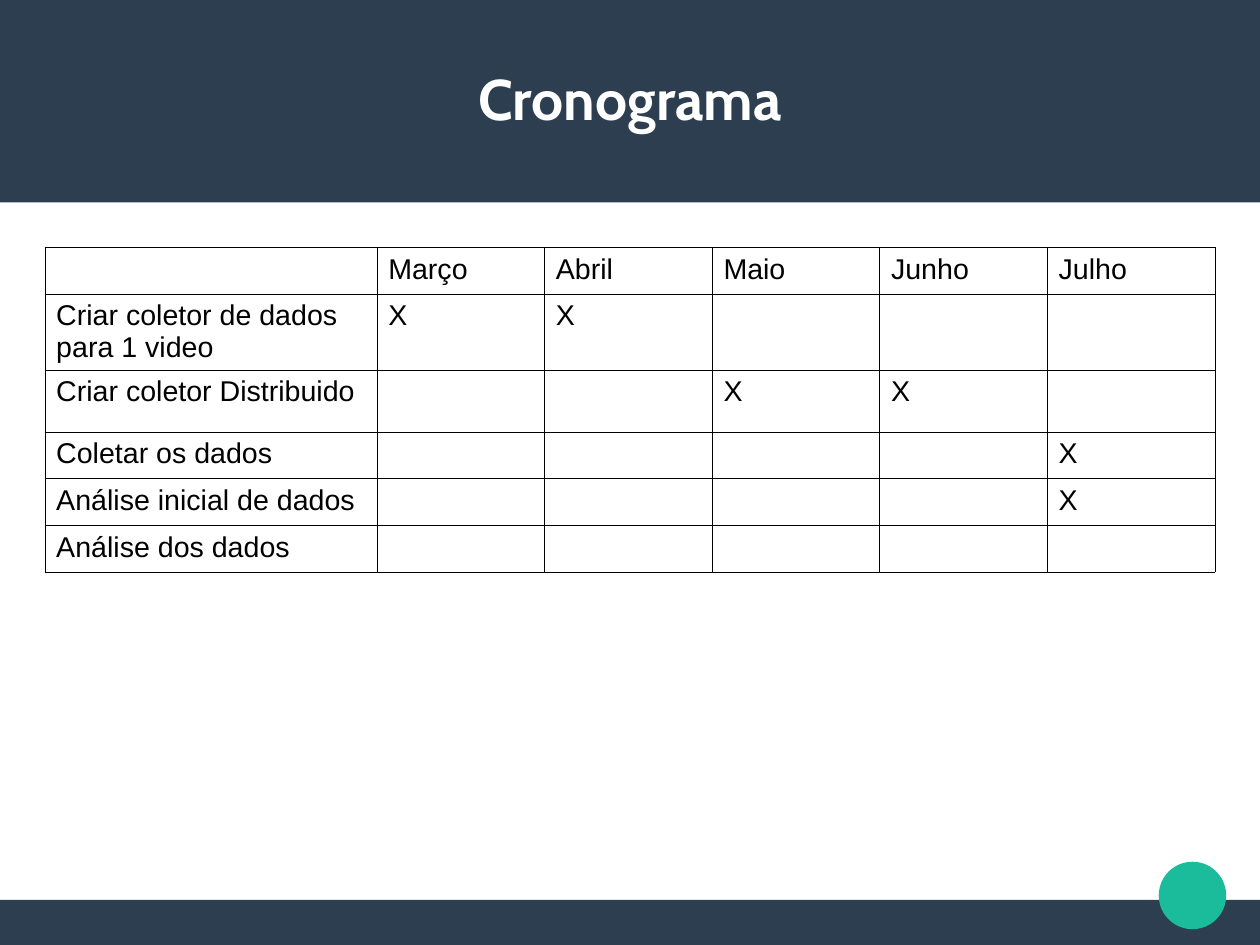
from dataclasses import dataclass

from lxml import etree
from pptx import Presentation
from pptx.dml.color import RGBColor
from pptx.enum.shapes import MSO_SHAPE
from pptx.enum.text import MSO_ANCHOR, MSO_AUTO_SIZE, PP_ALIGN
from pptx.oxml.ns import qn
from pptx.util import Cm, Pt

RECT, OVAL = MSO_SHAPE.RECTANGLE, MSO_SHAPE.OVAL
MIDDLE, TOP = MSO_ANCHOR.MIDDLE, MSO_ANCHOR.TOP
CENTER, LEFT = PP_ALIGN.CENTER, PP_ALIGN.LEFT
NO_FIT = MSO_AUTO_SIZE.NONE
TITLE_ONLY = 5


@dataclass(frozen=True)
class Theme:
    """Colours, fonts and type sizes of the slide."""
    navy: str = "2C3E50"
    green: str = "1ABC9C"
    white: str = "FFFFFF"
    black: str = "000000"
    head: str = "Cabin"
    body: str = "Arial"
    big: float = 36
    text: float = 18
    rule: float = 0.57


THEME = Theme()
WIDTH, HEIGHT, MARGIN = 28, 21, 1
MONTHS = ["Março", "Abril", "Maio", "Junho", "Julho"]
TASKS = [
    ("Criar coletor de dados para 1 video", ["Março", "Abril"], 1.69),
    ("Criar coletor Distribuido", ["Maio", "Junho"], 1.38),
    ("Coletar os dados", ["Julho"], 0.98),
    ("Análise inicial de dados", ["Julho"], 0.98),
    ("Análise dos dados", [], 0.98),
]
HEAD_ROW, TASK_COL = 0.98, 7.38


def style(item, **values):
    """Set each given value on the item."""
    for name, value in values.items():
        setattr(item, name, value)


def write(frame, text, align, color, **font):
    """Write one formatted paragraph into a text frame."""
    para = frame.paragraphs[0]
    para.alignment = align
    run = para.add_run()
    run.text = text
    style(run.font, **font)
    run.font.color.rgb = RGBColor.from_string(color)


def add_form(slide, kind, box, color):
    """Add a plain filled shape in the box."""
    form = slide.shapes.add_shape(kind, *map(Cm, box))
    form.shadow.inherit = False
    form.fill.solid()
    form.fill.fore_color.rgb = RGBColor.from_string(color)
    form.line.fill.background()


def add_header(slide, box):
    """Draw the top band and set the title on it."""
    left, top, width, _ = box
    add_form(slide, RECT, box, THEME.navy)
    title = slide.shapes.title
    style(title, left=Cm(left + MARGIN), top=Cm(top + 0.84),
          width=Cm(width - 2 * MARGIN), height=Cm(2.67))
    frame = title.text_frame
    style(frame, margin_left=0, margin_right=0, margin_top=0, margin_bottom=0,
          vertical_anchor=MIDDLE, auto_size=NO_FIT, word_wrap=True)
    write(frame, "Cronograma", CENTER, THEME.white,
          name=THEME.head, size=Pt(THEME.big), bold=True)
    title.element.getparent().append(title.element)


def add_footer(slide, box):
    """Draw the bottom band and the disc that overlaps it."""
    left, top, width, _ = box
    size = 1.5
    add_form(slide, RECT, box, THEME.navy)
    add_form(slide, OVAL, (left + width - size - 0.75, top - 0.85, size, size),
             THEME.green)


def add_rules(cell):
    """Draw a thin line on all four sides of a cell."""
    props = cell._tc.get_or_add_tcPr()
    for side in ("lnL", "lnR", "lnT", "lnB"):
        line = etree.SubElement(props, qn("a:" + side), w=str(Pt(THEME.rule)))
        fill = etree.SubElement(line, qn("a:solidFill"))
        etree.SubElement(fill, qn("a:srgbClr"), val=THEME.black)


def fill_cell(cell, text):
    """Format a cell and write its text, if any."""
    add_rules(cell)
    cell.fill.background()
    style(cell, margin_left=Cm(0.25), margin_right=Cm(0.25),
          margin_top=Cm(0.13), margin_bottom=Cm(0.13), vertical_anchor=TOP)
    if text:
        write(cell.text_frame, text, LEFT, THEME.black,
              name=THEME.body, size=Pt(THEME.text), bold=False)


def add_plan(slide, box):
    """Build the table of tasks by month in the box."""
    rows = [["", *MONTHS]]
    for task, busy, _ in TASKS:
        rows.append([task, *("X" if month in busy else "" for month in MONTHS)])
    high = [HEAD_ROW, *(task[2] for task in TASKS)]
    wide = [TASK_COL] + [(box[2] - TASK_COL) / len(MONTHS)] * len(MONTHS)
    grid = slide.shapes.add_table(len(high), len(wide), *map(Cm, box)).table
    style(grid, first_row=False, horz_banding=False)
    for col, width in zip(grid.columns, wide):
        col.width = Cm(width)
    for row, height, texts in zip(grid.rows, high, rows):
        row.height = Cm(height)
        for cell, text in zip(row.cells, texts):
            fill_cell(cell, text)


def main():
    """Build the slide and save it."""
    deck = Presentation()
    style(deck, slide_width=Cm(WIDTH), slide_height=Cm(HEIGHT))
    slide = deck.slides.add_slide(deck.slide_layouts[TITLE_ONLY])
    add_footer(slide, (0, HEIGHT - 1, WIDTH, 1))
    add_header(slide, (0, 0, WIDTH, 4.5))
    add_plan(slide, (MARGIN, 5.5, WIDTH - 2 * MARGIN, 6.99))
    deck.save("out.pptx")


if __name__ == "__main__":
    main()
